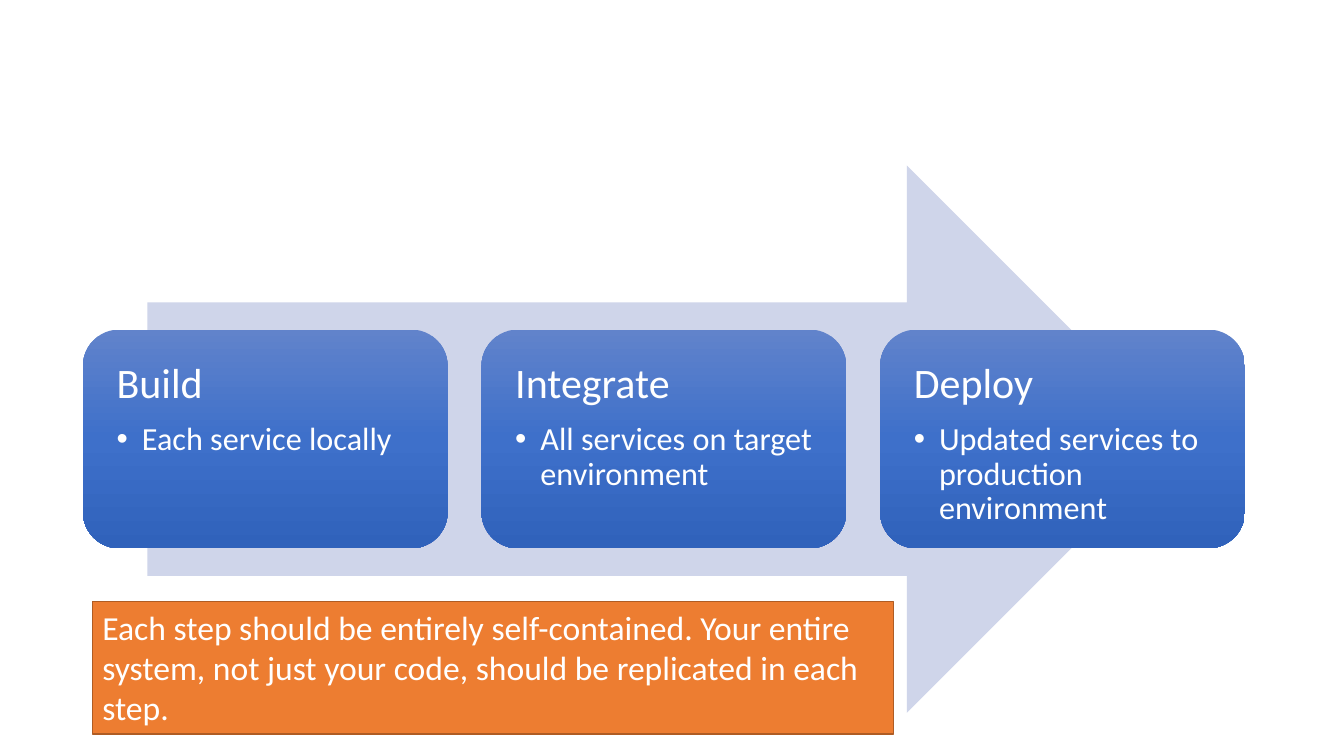
from copy import deepcopy
from dataclasses import dataclass

from lxml import etree
from pptx import Presentation
from pptx.dml.color import RGBColor
from pptx.enum.shapes import MSO_SHAPE
from pptx.enum.text import MSO_ANCHOR, MSO_AUTO_SIZE, PP_ALIGN
from pptx.oxml.ns import qn
from pptx.shapes.autoshape import Shape
from pptx.slide import Slide
from pptx.text.text import _Paragraph
from pptx.util import Pt

ARROW = MSO_SHAPE.RIGHT_ARROW
ROUND = MSO_SHAPE.ROUNDED_RECTANGLE
RECT = MSO_SHAPE.RECTANGLE
TOP = MSO_ANCHOR.TOP
LEFT = PP_ALIGN.LEFT
FIT = MSO_AUTO_SIZE.SHAPE_TO_FIT_TEXT


@dataclass(frozen=True)
class Theme:
    font: str = "Calibri"
    text: str = "FFFFFF"
    arrow: str = "CFD5EA"
    card: tuple[str, ...] = ("6183CB", "3E70CA", "3062BB")
    note: str = "ED7D31"
    edge: str = "AF5C24"
    head: int = 30
    item: int = 23
    body: int = 24


@dataclass(frozen=True)
class Box:
    left: float
    top: float
    width: float
    height: float


@dataclass(frozen=True)
class Step:
    name: str
    goal: str


THEME = Theme()
FLOW = Box(105.2, 118.2, 738, 391)
CARD = Box(59.2, 235.4, 260.6, 156.3)
PITCH = 284.7
NOTE = Box(66, 429.8, 572.4, 94.6)
STEPS = [
    Step("Build", "Each service locally"),
    Step("Integrate", "All services on target environment"),
    Step("Deploy", "Updated services to production environment"),
]
ADVICE = (
    "Each step should be entirely self-contained. Your entire system, "
    "not just your code, should be replicated in each step."
)


def add_box(slide: Slide, kind: MSO_SHAPE, box: Box) -> Shape:
    shape = slide.shapes.add_shape(
        kind, Pt(box.left), Pt(box.top), Pt(box.width), Pt(box.height)
    )
    shape.shadow.inherit = False
    shape.line.fill.background()
    return shape


def paint(shape: Shape, color: str) -> None:
    shape.fill.solid()
    shape.fill.fore_color.rgb = RGBColor.from_string(color)


def shade(shape: Shape, colors: tuple[str, ...]) -> None:
    """Fill from top to bottom with evenly spaced colours."""
    fill = shape.fill
    fill.gradient()
    fill.gradient_angle = 270
    stops = shape.element.spPr.find(qn("a:gradFill")).find(qn("a:gsLst"))
    while len(stops) < len(colors):
        stops.append(deepcopy(stops[0]))
    for i, (stop, color) in enumerate(zip(fill.gradient_stops, colors)):
        stop.position = i / (len(colors) - 1)
        stop.color.rgb = RGBColor.from_string(color)


def add_text(para: _Paragraph, text: str, size: int) -> None:
    para.alignment = LEFT
    run = para.add_run()
    run.text = text
    run.font.name = THEME.font
    run.font.size = Pt(size)
    run.font.color.rgb = RGBColor.from_string(THEME.text)


def add_dot(para: _Paragraph) -> None:
    props = para._p.get_or_add_pPr()
    props.set("marL", str(Pt(18)))
    props.set("indent", str(Pt(-18)))
    etree.SubElement(props, qn("a:buFont")).set("typeface", "Arial")
    etree.SubElement(props, qn("a:buChar")).set("char", "•")


def add_card(slide: Slide, step: Step, box: Box) -> None:
    shape = add_box(slide, ROUND, box)
    shade(shape, THEME.card)
    frame = shape.text_frame
    frame.word_wrap = True
    frame.vertical_anchor = TOP
    frame.margin_left = frame.margin_right = Pt(16.5)
    frame.margin_top = frame.margin_bottom = Pt(16)

    head = frame.paragraphs[0]
    head.line_spacing = 0.9
    head.space_after = Pt(10.5)
    add_text(head, step.name, THEME.head)

    item = frame.add_paragraph()
    add_dot(item)
    item.level = 1
    item.line_spacing = 0.9
    add_text(item, step.goal, THEME.item)


def add_note(slide: Slide) -> None:
    shape = add_box(slide, RECT, NOTE)
    paint(shape, THEME.note)
    shape.line.color.rgb = RGBColor.from_string(THEME.edge)
    shape.line.width = Pt(1)
    frame = shape.text_frame
    frame.word_wrap = True
    frame.auto_size = FIT
    frame.vertical_anchor = TOP
    add_text(frame.paragraphs[0], ADVICE, THEME.body)


def main() -> None:
    deck = Presentation()
    deck.slide_width, deck.slide_height = Pt(960), Pt(540)
    slide = deck.slides.add_slide(deck.slide_layouts[6])

    # Arrow behind the steps
    paint(add_box(slide, ARROW, FLOW), THEME.arrow)

    # Step cards
    for i, step in enumerate(STEPS):
        left = CARD.left + i * PITCH
        add_card(slide, step, Box(left, CARD.top, CARD.width, CARD.height))

    # Advice below
    add_note(slide)
    deck.save("out.pptx")


if __name__ == "__main__":
    main()
